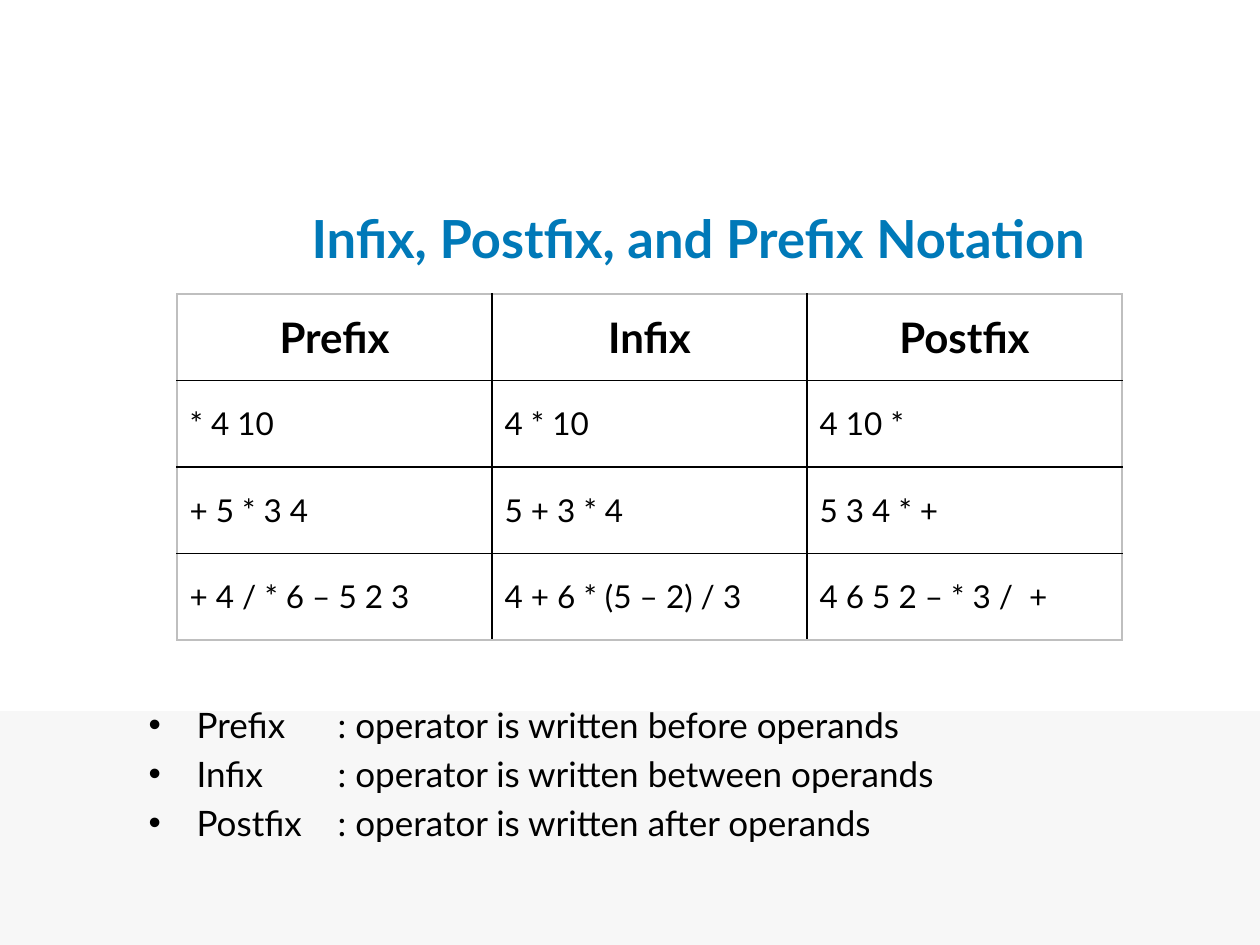
import pptx
import pptx.util
import pptx.dml.color
import pptx.enum.shapes
import pptx.enum.text
import pptx.oxml.ns
from dataclasses import dataclass
from lxml import etree


@dataclass(frozen=True)
class Theme:
    font: str = "Lato"
    title: str = "0079B8"
    text: str = "000000"
    band: str = "F7F7F7"
    frame: str = "BFBFBF"
    title_size: int = 30
    header_size: int = 24
    list_size: int = 20
    cell_size: int = 18


THEME = Theme()
ALIGN = pptx.enum.text.PP_ALIGN
MIDDLE = pptx.enum.text.MSO_ANCHOR.MIDDLE

TITLE = "Infix, Postfix, and Prefix Notation"
NOTATIONS = [
    ("Prefix", "Infix", "Postfix"),
    ("* 4 10", "4 * 10", "4 10 *"),
    ("+ 5 * 3 4", "5 + 3 * 4", "5 3 4 * +"),
    ("+ 4 / * 6 – 5 2 3", "4 + 6 * (5 – 2) / 3", "4 6 5 2 – * 3 /  +"),
]
MEANINGS = [
    "Prefix\t: operator is written before operands",
    "Infix\t\t: operator is written between operands",
    "Postfix\t: operator is written after operands",
]

# Left, top, width, height in px
PAGE_SIZE = (1260, 945)
BAND_AREA = (0, 711, 1260, 234)
TITLE_AREA = (168, 187, 1061, 101)
TABLE_AREA = (177, 294, 945, 346)
LIST_AREA = (136, 697, 1093, 160)
BULLET_INDENT = 48


def px(count):
    return pptx.util.Emu(round(count * 914400 / 126))


def rgb(value):
    return pptx.dml.color.RGBColor.from_string(value)


def place(shape, area):
    shape.left, shape.top, shape.width, shape.height = map(px, area)


def write(para, text, size, color=THEME.text, bold=False, align=ALIGN.LEFT):
    para.alignment = align
    span = para.add_run()
    span.text = text
    span.font.name = THEME.font
    span.font.size = pptx.util.Pt(size)
    span.font.bold = bold
    span.font.color.rgb = rgb(color)


def add_band(page):
    band = page.shapes.add_shape(
        pptx.enum.shapes.MSO_SHAPE.RECTANGLE, *map(px, BAND_AREA))
    band.shadow.inherit = False
    band.fill.solid()
    band.fill.fore_color.rgb = rgb(THEME.band)
    band.line.fill.background()
    page.shapes._spTree.insert(2, band._element)  # behind the placeholders


def fill_title(box):
    place(box, TITLE_AREA)
    box.text_frame.vertical_anchor = MIDDLE
    write(box.text_frame.paragraphs[0], TITLE, THEME.title_size,
          THEME.title, True, ALIGN.CENTER)


def fill_list(box):
    place(box, LIST_AREA)
    frame = box.text_frame
    frame.auto_size = pptx.enum.text.MSO_AUTO_SIZE.NONE
    for index, text in enumerate(MEANINGS):
        para = frame.add_paragraph() if index else frame.paragraphs[0]
        para.space_before = pptx.util.Pt(THEME.list_size * 0.2)
        write(para, text, THEME.list_size)
        properties = para._p.get_or_add_pPr()
        properties.set("marL", str(px(BULLET_INDENT)))
        properties.set("indent", str(px(-BULLET_INDENT)))
        bullet = etree.SubElement(properties, pptx.oxml.ns.qn("a:buChar"))
        bullet.set("char", "•")


def set_borders(cell, colors):
    """Draw 1 pt borders; colors maps a side (L, R, T, B) to its colour."""
    properties = cell._tc.get_or_add_tcPr()
    for index, (side, color) in enumerate(colors.items()):
        line = etree.Element(pptx.oxml.ns.qn(f"a:ln{side}"), w="12700")
        solid = etree.SubElement(line, pptx.oxml.ns.qn("a:solidFill"))
        etree.SubElement(solid, pptx.oxml.ns.qn("a:srgbClr"), val=color)
        properties.insert(index, line)


def add_notations(page):
    rows, columns = len(NOTATIONS), len(NOTATIONS[0])
    table = page.shapes.add_table(rows, columns, *map(px, TABLE_AREA)).table
    for r, texts in enumerate(NOTATIONS):
        header = r == 0
        for c, text in enumerate(texts):
            cell = table.cell(r, c)
            cell.fill.background()
            cell.vertical_anchor = MIDDLE
            write(cell.text_frame.paragraphs[0], text,
                  THEME.header_size if header else THEME.cell_size,
                  bold=header, align=ALIGN.CENTER if header else ALIGN.LEFT)
            outer = {"L": c == 0, "R": c == columns - 1,
                     "T": r == 0, "B": r == rows - 1}
            set_borders(cell, {side: THEME.frame if edge else THEME.text
                               for side, edge in outer.items()})


def main():
    deck = pptx.Presentation()
    deck.slide_width, deck.slide_height = map(px, PAGE_SIZE)
    page = deck.slides.add_slide(deck.slide_layouts[1])
    add_band(page)
    fill_title(page.shapes.title)
    fill_list(page.placeholders[1])
    add_notations(page)
    deck.save("out.pptx")


if __name__ == "__main__":
    main()
